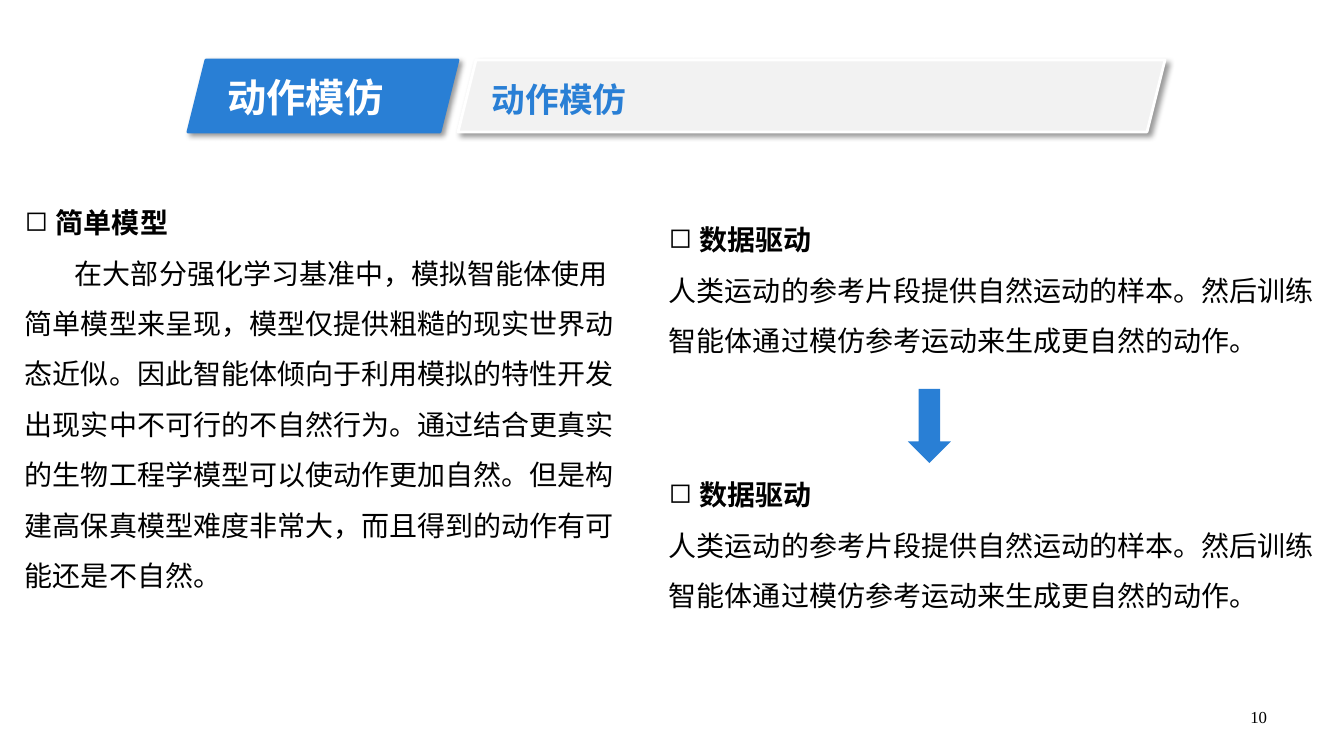
from dataclasses import dataclass

from lxml.etree import SubElement
from pptx import Presentation
from pptx.dml.color import RGBColor
from pptx.enum.shapes import MSO_SHAPE
from pptx.enum.text import MSO_ANCHOR, MSO_AUTO_SIZE, PP_ALIGN
from pptx.oxml.ns import qn
from pptx.util import Pt

EMU_PER_PX = 914400 / 100.8


@dataclass(frozen=True)
class Theme:
    blue: str = "297FD5"
    grey: str = "F2F2F2"
    white: str = "FFFFFF"
    black: str = "000000"
    heading_font: str = "Times New Roman"
    body_font: str = "Cabin"
    title_size: int = 28
    subtitle_size: int = 24
    body_size: int = 20
    number_size: int = 12


def px(length):
    return round(length * EMU_PER_PX)


def set_all(target, values):
    for name, value in values.items():
        setattr(target, name, value)


class SlideBuilder:
    def __init__(self, page, theme):
        self.page = page
        self.theme = theme

    def place(self, shape, area):
        names = ("left", "top", "width", "height")
        set_all(shape, dict(zip(names, map(px, area))))

    def shape(self, kind, area, fill, line=None, shadow=False):
        shape = self.page.shapes.add_shape(kind, *map(px, area))
        shape.shadow.inherit = False
        shape.fill.solid()
        shape.fill.fore_color.rgb = RGBColor.from_string(fill)
        if line:
            shape.line.color.rgb = RGBColor.from_string(line)
            shape.line.width = Pt(2)
        else:
            shape.line.fill.background()
        if shadow:
            self.drop_shadow(shape)

    def drop_shadow(self, shape):
        effects = shape.element.spPr.find(qn("a:effectLst"))
        outer = SubElement(effects, qn("a:outerShdw"), blurRad=str(Pt(4)),
                           dist=str(Pt(3)), dir="2700000", algn="tl", rotWithShape="0")
        color = SubElement(outer, qn("a:srgbClr"), val=self.theme.black)
        SubElement(color, qn("a:alpha"), val="40000")

    def add_span(self, para, text, size, color, bold=False, font=None):
        span = para.add_run()
        span.text = text
        set_all(span.font, {"name": font or self.theme.heading_font,
                            "size": Pt(size), "bold": bold})
        span.font.color.rgb = RGBColor.from_string(color)

    def box(self, area, wrap=True, anchor=MSO_ANCHOR.TOP):
        box = self.page.shapes.add_textbox(*map(px, area))
        set_all(box.text_frame, {"word_wrap": wrap, "vertical_anchor": anchor})
        return box.text_frame

    def title(self, text, area):
        title = self.page.shapes.title
        self.place(title, area)
        # Bring the title in front of its banner
        title.element.getparent().append(title.element)
        set_all(title.text_frame, {"word_wrap": False, "auto_size": MSO_AUTO_SIZE.NONE,
                                   "vertical_anchor": MSO_ANCHOR.TOP})
        para = title.text_frame.paragraphs[0]
        para.alignment = PP_ALIGN.LEFT
        self.add_span(para, text, self.theme.title_size, self.theme.white, bold=True)

    def label(self, text, area, size, color, bold=False, wrap=True,
              align=PP_ALIGN.LEFT, anchor=MSO_ANCHOR.TOP):
        para = self.box(area, wrap, anchor).paragraphs[0]
        para.alignment = align
        self.add_span(para, text, size, color, bold)

    def section(self, heading, body, area, first_indent=0):
        frame = self.box(area)
        theme = self.theme

        # Bulleted heading
        para = frame.paragraphs[0]
        para.line_spacing = 1.5
        properties = para._p.get_or_add_pPr()
        for name, value in {"marL": px(31), "indent": -px(31)}.items():
            properties.set(name, str(value))
        SubElement(properties, qn("a:buChar"), char="◻")
        self.add_span(para, heading, theme.body_size, theme.black, bold=True)

        # Body paragraph
        para = frame.add_paragraph()
        para.line_spacing = 1.5
        para._p.get_or_add_pPr().set("indent", str(px(first_indent)))
        self.add_span(para, body, theme.body_size, theme.black, font=theme.body_font)


def main():
    deck = Presentation()
    set_all(deck, {"slide_width": px(1344), "slide_height": px(756)})
    theme = Theme()
    slide = SlideBuilder(deck.slides.add_slide(deck.slide_layouts[5]), theme)

    # Banner
    slide.shape(MSO_SHAPE.PARALLELOGRAM, (188, 60, 270, 72), theme.blue, theme.blue, shadow=True)
    slide.shape(MSO_SHAPE.PARALLELOGRAM, (458, 60, 707, 72), theme.grey, theme.white, shadow=True)
    slide.title("动作模仿", (217, 68, 178, 57))
    slide.label("动作模仿", (482, 74, 156, 50), theme.subtitle_size, theme.blue,
                bold=True, wrap=False)

    # Left column
    slide.section(
        "简单模型",
        "在大部分强化学习基准中，模拟智能体使用简单模型来呈现，模型仅提供粗糙的现实世界动态近似。"
        "因此智能体倾向于利用模拟的特性开发出现实中不可行的不自然行为。"
        "通过结合更真实的生物工程学模型可以使动作更加自然。"
        "但是构建高保真模型难度非常大，而且得到的动作有可能还是不自然。",
        (15, 184, 622, 519), first_indent=50)

    # Right column: two sections joined by an arrow
    for top in (201, 456):
        slide.section(
            "数据驱动",
            "人类运动的参考片段提供自然运动的样本。然后训练智能体通过模仿参考运动来生成更自然的动作。",
            (659, top, 666, 214))
    slide.shape(MSO_SHAPE.DOWN_ARROW, (908, 389, 43, 74), theme.blue)

    # Page number
    slide.label("10", (964, 697, 313, 40), theme.number_size, theme.black,
                align=PP_ALIGN.RIGHT, anchor=MSO_ANCHOR.MIDDLE)

    deck.save("out.pptx")


if __name__ == "__main__":
    main()
